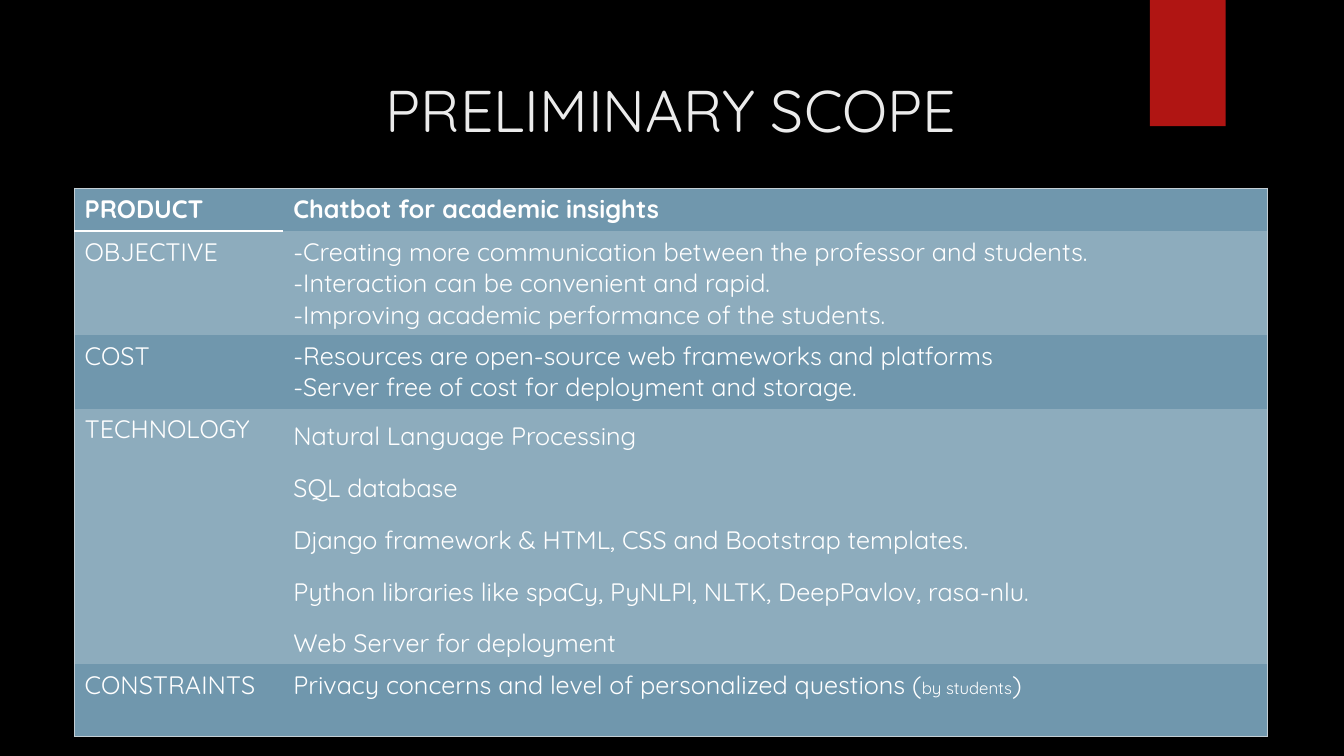
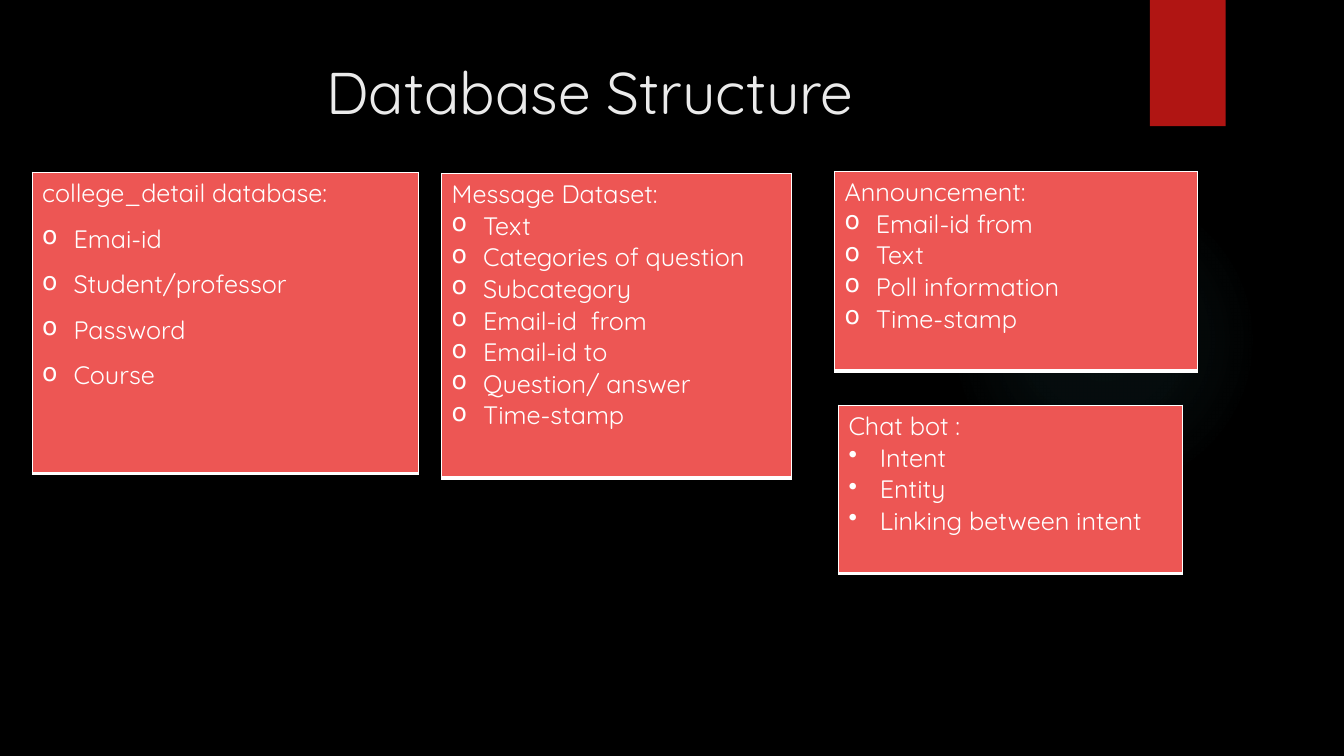
from dataclasses import dataclass

import pptx
import pptx.dml.color
import pptx.enum.shapes
import pptx.enum.text
import pptx.oxml
import pptx.oxml.ns
import pptx.util
from lxml import etree

Cm = pptx.util.Cm
Pt = pptx.util.Pt
qn = pptx.oxml.ns.qn


@dataclass(frozen=True)
class Theme:
    font: str = "Quicksand"
    background: str = "000000"
    ribbon: str = "B01513"
    glow: str = "50B9C1"
    title: str = "EBEBEB"
    text: str = "FFFFFF"
    row_dark: str = "7097AD"
    row_light: str = "8DACBD"
    frame: str = "C3CED4"
    card: str = "ED5654"
    title_size: int = 42
    body_size: int = 18
    small_size: int = 12
    paragraph_gap: int = 10


THEME = Theme()
NO_GRID_STYLE = "{2D5ABB26-0587-4C30-8999-92F81FD0307C}"
SIDES = "LRTB"


def rgb(color):
    return pptx.dml.color.RGBColor.from_string(color)


def add_color(parent, color, alpha=None):
    element = etree.SubElement(parent, qn("a:srgbClr"), val=color)
    if alpha is not None:
        etree.SubElement(element, qn("a:alpha"), val=str(alpha * 1000))


def set_borders(cell, borders):
    """Draw the given sides, a dict of side letter to (colour, points); call before filling."""
    properties = cell._tc.get_or_add_tcPr()
    for side in SIDES:
        if side in borders:
            color, width = borders[side]
            line = etree.SubElement(properties, qn(f"a:ln{side}"), w=str(Pt(width)))
            add_color(etree.SubElement(line, qn("a:solidFill")), color)


def set_bullet(paragraph, character):
    indent = Cm(0.79)
    properties = paragraph._p.get_or_add_pPr()
    properties.set("marL", str(indent))
    properties.set("indent", str(-indent))
    add_color(etree.SubElement(properties, qn("a:buClr")), THEME.text)
    etree.SubElement(properties, qn("a:buChar"), char=character)


class Deck:
    def __init__(self):
        self.presentation = pptx.Presentation()
        self.presentation.slide_width = Cm(33.87)
        self.presentation.slide_height = Cm(19.05)
        self.slide = None

    def new_slide(self):
        self.slide = self.presentation.slides.add_slide(self.presentation.slide_layouts[6])
        background = self.slide.background.fill
        background.solid()
        background.fore_color.rgb = rgb(THEME.background)
        self.add_glow()
        ribbon = self.add_plain_shape("RECTANGLE", 28.98, 0, 1.91, 3.18)
        ribbon.fill.solid()
        ribbon.fill.fore_color.rgb = rgb(THEME.ribbon)

    def add_plain_shape(self, kind, left, top, width, height):
        shape = self.slide.shapes.add_shape(
            pptx.enum.shapes.MSO_SHAPE[kind], Cm(left), Cm(top), Cm(width), Cm(height))
        shape.shadow.inherit = False
        shape.line.fill.background()
        return shape

    def add_glow(self):
        """Add the faint round light that fades out from its centre."""
        glow = self.add_plain_shape("OVAL", 23.9, 4.65, 7.82, 7.82)
        gradient = etree.Element(qn("a:gradFill"), rotWithShape="1")
        stops = etree.SubElement(gradient, qn("a:gsLst"))
        for position, alpha in ((0, 7), (36, 6), (69, 0)):
            stop = etree.SubElement(stops, qn("a:gs"), pos=str(position * 1000))
            add_color(stop, THEME.glow, alpha)
        center = etree.SubElement(gradient, qn("a:path"), path="circle")
        etree.SubElement(center, qn("a:fillToRect"),
                         {side: "50000" for side in "ltrb"})
        glow._element.spPr.find(qn("a:prstGeom")).addnext(gradient)

    def add_title(self, text, left, top, width, height):
        box = self.slide.shapes.add_textbox(Cm(left), Cm(top), Cm(width), Cm(height))
        box.text_frame.word_wrap = True
        paragraph = box.text_frame.paragraphs[0]
        paragraph.alignment = pptx.enum.text.PP_ALIGN.CENTER
        self.add_text(paragraph, [text], THEME.title_size, THEME.title)

    def add_text(self, paragraph, parts, size=THEME.body_size, color=THEME.text, bold=False):
        """Fill a paragraph; a part given as (text, size) gets its own size."""
        font = paragraph.font
        font.name = THEME.font
        font.size = Pt(size)
        font.bold = bold
        font.color.rgb = rgb(color)
        for part in parts:
            run = paragraph.add_run()
            if isinstance(part, tuple):
                run.text, points = part
                run.font.size = Pt(points)
            else:
                run.text = part

    def add_plain_table(self, left, top, widths, heights):
        frame = self.slide.shapes.add_table(
            len(heights), len(widths), Cm(left), Cm(top), Cm(sum(widths)), Cm(sum(heights)))
        table = frame.table
        table.first_row = table.horz_banding = False
        table._tbl.tblPr.find(qn("a:tableStyleId")).text = NO_GRID_STYLE
        for column, width in zip(table.columns, widths):
            column.width = Cm(width)
        for row, height in zip(table.rows, heights):
            row.height = Cm(height)
        return table

    def fill_cell(self, cell, lines, fill, borders, bold=False, gap=0, spacing=None, bullet=None):
        """Set the lines; a bullet marks every line after the first."""
        set_borders(cell, borders)
        cell.fill.solid()
        cell.fill.fore_color.rgb = rgb(fill)
        for index, line in enumerate(lines):
            paragraph = cell.text_frame.paragraphs[0] if index == 0 else cell.text_frame.add_paragraph()
            if index and bullet:
                set_bullet(paragraph, bullet)
            if index and gap:
                paragraph.space_before = Pt(gap)
            if spacing:
                paragraph.line_spacing = spacing
            self.add_text(paragraph, line if isinstance(line, list) else [line], bold=bold)

    def add_scope_table(self, left, top, widths, rows):
        """Add a framed two-column table; a row is (height, label, lines, options)."""
        table = self.add_plain_table(left, top, widths, [row[0] for row in rows])
        edge = (THEME.frame, 0.75)
        last = len(rows) - 1
        for index, (_, label, lines, options) in enumerate(rows):
            fill = THEME.row_light if index % 2 else THEME.row_dark
            outer = {"T": edge} if index == 0 else {"B": edge} if index == last else {}
            label_borders = {"L": edge, **outer}
            if index == 0:
                label_borders["B"] = (THEME.text, 2.25)
            self.fill_cell(table.cell(index, 0), [label], fill, label_borders, bold=index == 0)
            self.fill_cell(table.cell(index, 1), lines, fill, {"R": edge, **outer},
                           bold=index == 0, **options)

    def add_card(self, left, top, width, height, lines, bullet="o", gap=0):
        table = self.add_plain_table(left, top, [width], [height])
        borders = {side: (THEME.text, 3 if side == "B" else 1) for side in SIDES}
        self.fill_cell(table.cell(0, 0), lines, THEME.card, borders, gap=gap, bullet=bullet)


def build_scope(deck):
    deck.new_slide()
    deck.add_title("PRELIMINARY SCOPE", 2.01, 1.73, 29.79, 1.4)
    deck.add_scope_table(1.88, 4.74, (5.26, 24.81), [
        (1.08, "PRODUCT", ["Chatbot for academic insights"], {}),
        (2.62, "OBJECTIVE", [
            "-Creating more communication between the professor and students.",
            "-Interaction can be convenient and rapid.",
            "-Improving academic performance of the students."], {}),
        (1.86, "COST", [
            "-Resources are open-source web frameworks and platforms",
            "-Server free of cost for deployment and storage."], {}),
        (6.43, "TECHNOLOGY", [
            "Natural Language Processing",
            "SQL database",
            "Django framework & HTML, CSS and Bootstrap templates.",
            "Python libraries like spaCy, PyNLPl, NLTK, DeepPavlov, rasa-nlu.",
            "Web Server for deployment"], {"gap": THEME.paragraph_gap, "spacing": 1.2}),
        (1.84, "CONSTRAINTS", [[
            "Privacy concerns and level of personalized questions (",
            ("by students", THEME.small_size), ")"]], {}),
    ])


def build_database(deck):
    deck.new_slide()
    deck.add_title("Database Structure", 1.8, 1.27, 26.14, 3.89)
    deck.add_card(0.81, 4.34, 9.73, 7.59, [
        "college_detail database:", "Emai-id", "Student/professor", "Password", "Course",
    ], gap=THEME.paragraph_gap)
    deck.add_card(11.13, 4.37, 8.81, 7.67, [
        "Message Dataset:", "Text", "Categories of question", "Subcategory",
        "Email-id  from", "Email-id to", "Question/ answer", "Time-stamp",
    ])
    deck.add_card(21.03, 4.32, 9.14, 5.03, [
        "Announcement:", "Email-id from", "Text", "Poll information", "Time-stamp",
    ])
    deck.add_card(21.13, 10.21, 8.66, 4.24, [
        "Chat bot :", "Intent", "Entity", "Linking between intent",
    ], bullet="•")


def main():
    deck = Deck()
    build_scope(deck)
    build_database(deck)
    deck.presentation.save("out.pptx")


if __name__ == "__main__":
    main()
